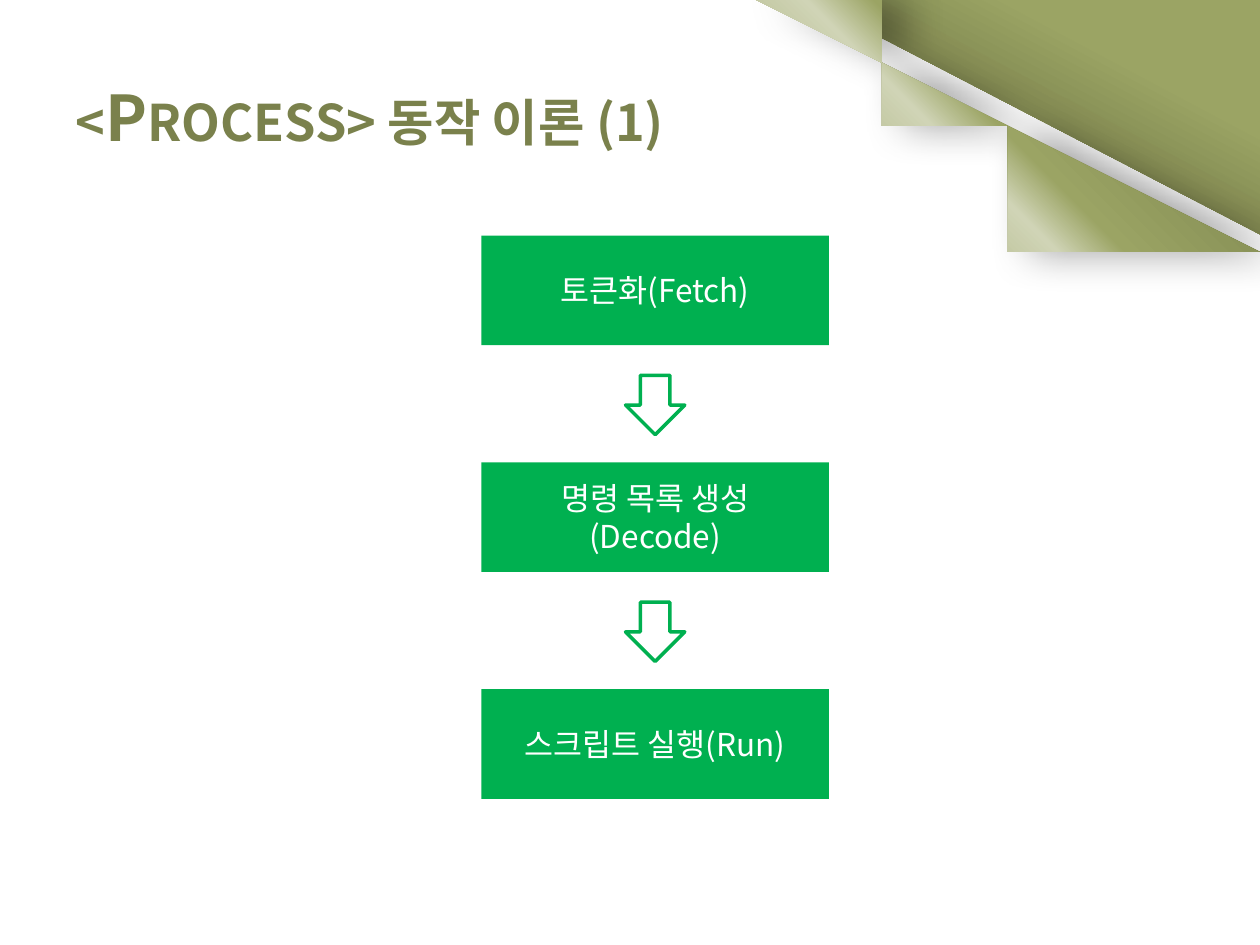
from lxml import etree
from pptx import Presentation
from pptx.dml.color import RGBColor
from pptx.enum.shapes import MSO_SHAPE
from pptx.enum.text import MSO_ANCHOR, MSO_AUTO_SIZE, PP_ALIGN
from pptx.oxml import parse_xml
from pptx.oxml.ns import qn
from pptx.util import Inches, Pt

RECTANGLE = MSO_SHAPE.RECTANGLE
DOWN_ARROW = MSO_SHAPE.DOWN_ARROW
RIGHT_TRIANGLE = MSO_SHAPE.RIGHT_TRIANGLE
MIDDLE = MSO_ANCHOR.MIDDLE
LEFT = PP_ALIGN.LEFT
CENTER = PP_ALIGN.CENTER
NO_AUTOFIT = MSO_AUTO_SIZE.NONE

FONT = "Noto Sans CJK KR"
DRAWING = "http://schemas.openxmlformats.org/drawingml/2006/main"
COLORS = {
    "olive": "9BA464",
    "dark_olive": "7A814C",
    "deep_olive": "5F643B",
    "pale_olive": "D0D4B6",
    "green": "00B050",
    "white": "FFFFFF",
    "shadow": "000000",
}
STEPS = [["토큰화(Fetch)"], ["명령 목록 생성", "(Decode)"], ["스크립트 실행(Run)"]]
BOX_LEFT, BOX_TOP, BOX_WIDTH, BOX_HEIGHT = 3.82, 1.87, 2.76, 0.87
STEP_PITCH = 1.8
ARROW_SIZE, ARROW_OFFSET = 0.47, 1.11
CURL_LEFT, CURL_WIDTH, CURL_HEIGHT = 6.42, 3.58, 1.86


def color(name):
    """Return the named palette colour."""
    return RGBColor.from_string(COLORS[name])


def add_span(para, text, size, color_name):
    """Add one formatted run to a paragraph."""
    span = para.add_run()
    span.text = text
    span.font.size = Pt(size)
    span.font.name = FONT
    span.font.color.rgb = color(color_name)
    etree.SubElement(span.font._element, qn("a:ea"), typeface=FONT)
    return span


def set_gradient(shape, stops, angle):
    """Fill a shape with a linear gradient of (percent, colour name) stops."""
    marks = "".join(
        f'<a:gs pos="{percent * 1000}"><a:srgbClr val="{COLORS[name]}"/></a:gs>'
        for percent, name in stops
    )
    gradient = parse_xml(
        f'<a:gradFill xmlns:a="{DRAWING}" rotWithShape="1"><a:gsLst>{marks}</a:gsLst>'
        f'<a:lin ang="{angle * 60000}" scaled="0"/></a:gradFill>'
    )
    shape.fill.background()
    properties = shape._element.spPr
    properties.replace(properties.find(qn("a:noFill")), gradient)
    shape.line.fill.background()


def set_shadow(shape, blur, distance, opacity):
    """Give a shape a soft outer shadow."""
    shape.shadow.inherit = False
    effects = shape._element.spPr.find(qn("a:effectLst"))
    effects.append(parse_xml(
        f'<a:outerShdw xmlns:a="{DRAWING}" blurRad="{Pt(blur)}" dist="{Pt(distance)}" '
        f'dir="0" algn="l" rotWithShape="0"><a:srgbClr val="{COLORS["shadow"]}">'
        f'<a:alpha val="{opacity * 1000}"/></a:srgbClr></a:outerShdw>'
    ))


def curve(start, first, second, end, count=40):
    """Return points along a cubic curve, without its start."""
    points = []
    for index in range(1, count + 1):
        t = index / count
        weights = ((1 - t) ** 3, 3 * t * (1 - t) ** 2, 3 * t * t * (1 - t), t ** 3)
        corners = (start, first, second, end)
        points.append(tuple(
            sum(weight * corner[axis] for weight, corner in zip(weights, corners))
            for axis in (0, 1)
        ))
    return points


def add_page_curl(page):
    """Draw the turned page corner at the top right."""
    corner = page.shapes.add_shape(
        RIGHT_TRIANGLE, Inches(CURL_LEFT), Inches(0), Inches(CURL_WIDTH), Inches(CURL_HEIGHT)
    )
    corner.rotation = 180
    corner.shadow.inherit = False
    set_gradient(corner, [(0, "olive"), (28, "olive"), (57, "dark_olive"),
                          (86, "dark_olive"), (100, "deep_olive")], 298)
    tip, top, side = (8.67, 2.38), (CURL_LEFT, 0), (10, 1.85)
    points = curve(tip, (7.77, 0.94), (6.91, 0.38), top)
    points += [side] + curve(side, (9.08, 1.6), (8.67, 2.43), tip)
    builder = page.shapes.build_freeform(*tip, scale=Inches(1))
    builder.add_line_segments(points, close=True)
    fold = builder.convert_to_shape()
    set_gradient(fold, [(0, "dark_olive"), (16, "dark_olive"), (51, "olive"),
                        (60, "pale_olive"), (90, "olive"), (100, "dark_olive")], 135)
    set_shadow(fold, 24, 13, 39)


def set_title(page, text):
    """Place and format the slide title."""
    title = page.shapes.title
    title.left, title.top = Inches(0.5), Inches(0.3)
    title.width, title.height = Inches(6.86), Inches(1.25)
    frame = title.text_frame
    frame.vertical_anchor = MIDDLE
    frame.word_wrap = True
    frame.auto_size = NO_AUTOFIT
    para = frame.paragraphs[0]
    para.alignment = LEFT
    span = add_span(para, text, 36, "dark_olive")
    span.font.bold = True
    span.font._element.set("cap", "small")


def add_step(page, top, lines):
    """Add a green step box with one paragraph per line."""
    box = page.shapes.add_shape(
        RECTANGLE, Inches(BOX_LEFT), Inches(top), Inches(BOX_WIDTH), Inches(BOX_HEIGHT)
    )
    box.shadow.inherit = False
    box.fill.solid()
    box.fill.fore_color.rgb = color("green")
    box.line.fill.background()
    frame = box.text_frame
    frame.word_wrap = True
    frame.vertical_anchor = MIDDLE
    for index, line in enumerate(lines):
        para = frame.add_paragraph() if index else frame.paragraphs[0]
        para.alignment = CENTER
        add_span(para, line, 18, "white")


def add_arrow(page, top):
    """Add an outlined down arrow centred under the step boxes."""
    left = BOX_LEFT + (BOX_WIDTH - ARROW_SIZE) / 2
    arrow = page.shapes.add_shape(
        DOWN_ARROW, Inches(left), Inches(top), Inches(ARROW_SIZE), Inches(ARROW_SIZE)
    )
    arrow.shadow.inherit = False
    arrow.fill.background()
    arrow.line.color.rgb = color("green")
    arrow.line.width = Pt(2)
    etree.SubElement(arrow.line._ln, qn("a:round"))


def main():
    """Build and save the process slide."""
    deck = Presentation()
    deck.slide_width, deck.slide_height = Inches(10), Inches(7.5)
    page = deck.slides.add_slide(deck.slide_layouts[5])
    add_page_curl(page)
    set_title(page, "<Process> 동작 이론 (1)")
    for index, lines in enumerate(STEPS):
        top = BOX_TOP + index * STEP_PITCH
        add_step(page, top, lines)
        if index < len(STEPS) - 1:
            add_arrow(page, top + ARROW_OFFSET)
    deck.save("out.pptx")


if __name__ == "__main__":
    main()
